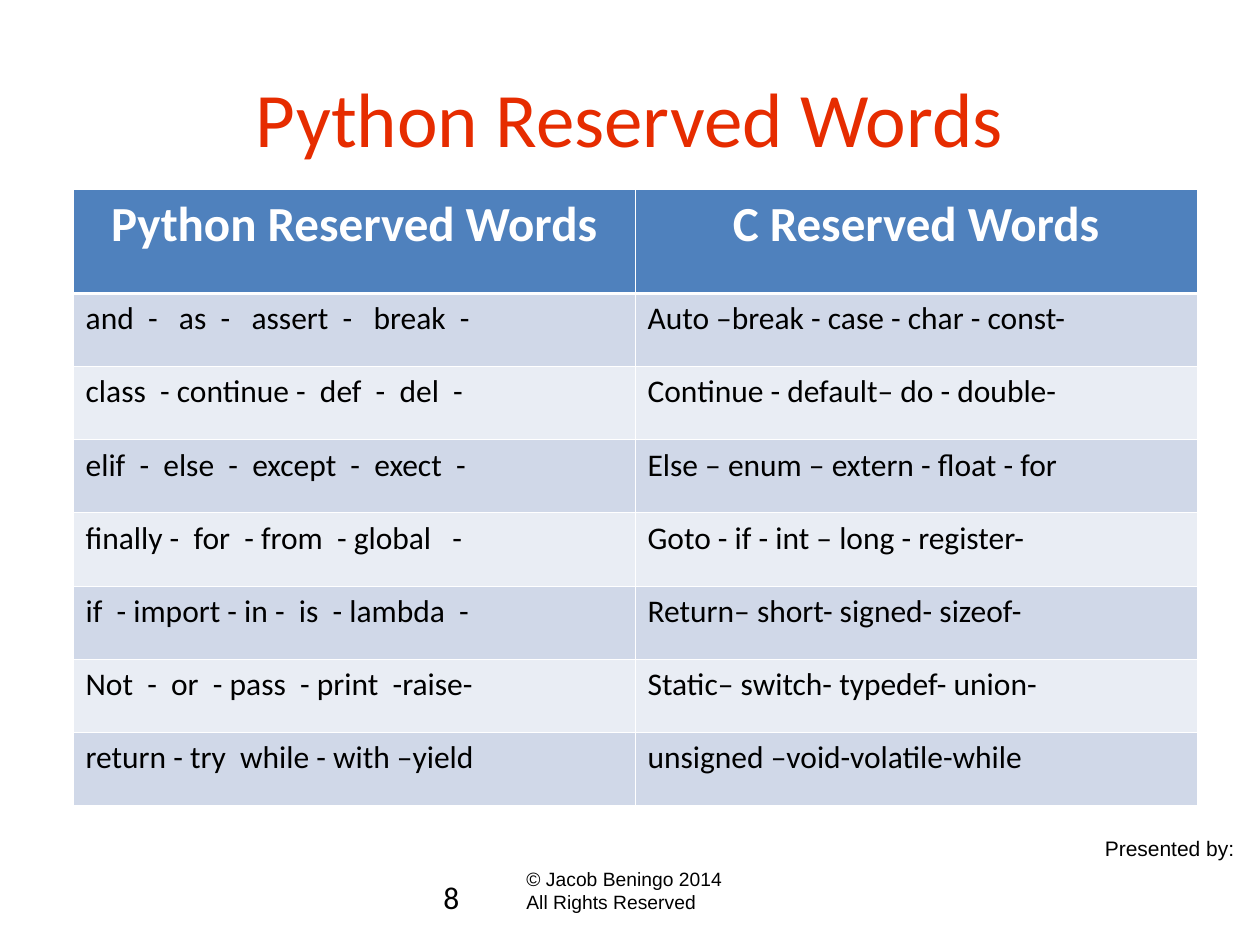
from lxml import etree
from pptx import Presentation
from pptx.dml.color import RGBColor
from pptx.enum.text import MSO_ANCHOR, PP_ALIGN
from pptx.oxml.ns import qn
from pptx.util import Inches, Pt

LEFT, CENTER = PP_ALIGN.LEFT, PP_ALIGN.CENTER
TOP, MIDDLE = MSO_ANCHOR.TOP, MSO_ANCHOR.MIDDLE

# Content
HEAD = ("Python Reserved Words", "C Reserved Words")
WORDS = [
    ("and  -   as  -   assert  -   break  -", "Auto –break - case - char - const-"),
    ("class  - continue -  def  -  del  -", "Continue - default– do - double-"),
    ("elif  -  else  -  except  -  exect  -", "Else – enum – extern - float - for"),
    ("finally -  for  - from  - global   -", "Goto - if - int – long - register-"),
    ("if  - import - in -  is  - lambda  -", "Return– short- signed- sizeof-"),
    ("Not  -  or  - pass  - print  -raise-", "Static– switch- typedef- union-"),
    ("return - try  while - with –yield", "unsigned –void-volatile-while"),
]
# Text, box, style, alignment, anchor
TEXTS = [
    ("Presented by:", (8.67, 6.58, 1.25, 0.3), "credit", LEFT, TOP),
    ("© Jacob Beningo 2014\nAll Rights Reserved", (4.08, 6.83, 1.83, 0.65),
     "rights", LEFT, TOP),
    ("Python Reserved Words", (0.5, 0.3, 9, 1.25), "title", CENTER, MIDDLE),
    ("8", (3.42, 6.92, 2.33, 0.4), "page", LEFT, TOP),
]

# Theme: styles are font, size, colour, bold
THEME = {
    "title": ("Calibri", 44, "E62C00", False),
    "head": ("Calibri", 28, "FFFFFF", True),
    "body": ("Calibri", 18, "000000", False),
    "page": ("Calibri", 18, "000000", False),
    "credit": ("Arial", 12, "000000", False),
    "rights": ("Arial", 11, "000000", False),
    "head fill": "4F81BD",
    "bands": ("D0D8E8", "E9EDF4"),
    "rule": "FFFFFF",
    "thin": 0.45,
    "thick": 1.47,
}
GRID = (0.58, 1.5, 8.92, 4.92)
HEAD_H, ROW_H = 0.83, 0.58


def write(frame, text, style, align):
    face, size, color, bold = THEME[style]
    frame.text = text
    for para in frame.paragraphs:
        para.alignment = align
        for run in para.runs:
            font = run.font
            font.name, font.size, font.bold = face, Pt(size), bold
            font.color.rgb = RGBColor.from_string(color)


def border(cell, side, width):
    props = cell._tc.get_or_add_tcPr()
    line = etree.SubElement(props, qn("a:ln" + side), w=str(Pt(width)))
    fill = etree.SubElement(line, qn("a:solidFill"))
    etree.SubElement(fill, qn("a:srgbClr"), val=THEME["rule"])


deck = Presentation()
deck.slide_width, deck.slide_height = Inches(10), Inches(7.5)
slide = deck.slides.add_slide(deck.slide_layouts[6])

# Title and footer texts
for text, area, style, align, anchor in TEXTS:
    frame = slide.shapes.add_textbox(*map(Inches, area)).text_frame
    frame.word_wrap = True
    frame.vertical_anchor = anchor
    write(frame, text, style, align)

# Table of reserved words
rows = [HEAD] + WORDS
table = slide.shapes.add_table(len(rows), len(HEAD), *map(Inches, GRID)).table
for col in table.columns:
    col.width = Inches(GRID[2] / len(HEAD))
for r, row in enumerate(rows):
    first = r == 0
    table.rows[r].height = Inches(HEAD_H if first else ROW_H)
    color = THEME["head fill"] if first else THEME["bands"][(r - 1) % 2]
    for c, text in enumerate(row):
        cell = table.cell(r, c)
        write(cell.text_frame, text, "head" if first else "body",
              CENTER if first else LEFT)
        # The rule under the header is thicker
        for side in "LRTB":
            thick = (r, side) in ((0, "B"), (1, "T"))
            border(cell, side, THEME["thick" if thick else "thin"])
        cell.fill.solid()
        cell.fill.fore_color.rgb = RGBColor.from_string(color)

deck.save("out.pptx")
